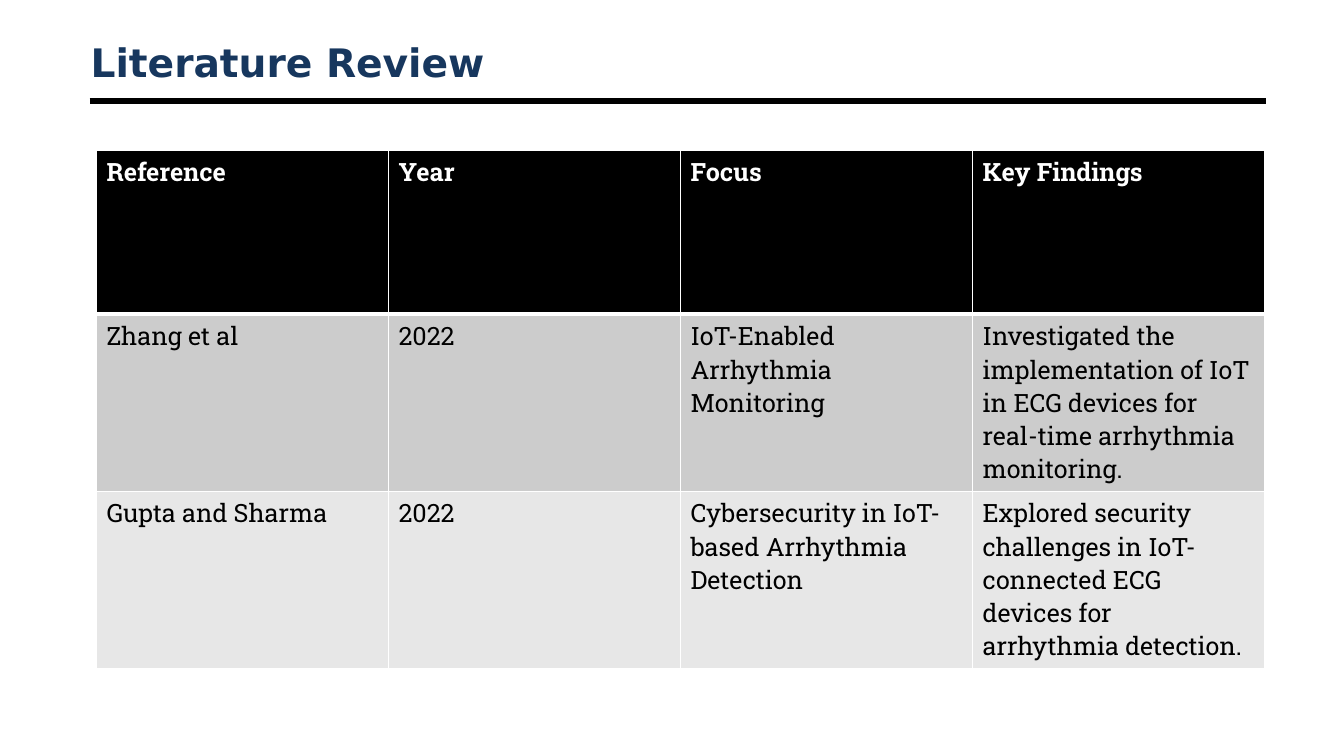
"""Build the Literature Review slide with its table of studies."""
from dataclasses import astuple, dataclass

from lxml import etree
from pptx import Presentation
from pptx import util as u
from pptx.dml.color import RGBColor
from pptx.enum import shapes, text
from pptx.oxml import ns

BODY_FONT = "Roboto Slab"
TITLE_FONT = "DejaVu Sans"
BLACK, WHITE, NAVY = "000000", "FFFFFF", "17375E"
ROW_FILLS = (BLACK, "CCCCCC", "E7E7E7")
COLUMN_WIDTH = u.Cm(7.36)
HEADER_HEIGHT, STUDY_HEIGHT = u.Cm(4.14), u.Cm(4.46)
THIN, THICK = u.Pt(1), u.Pt(3)


@dataclass(frozen=True)
class Study:
    reference: str
    year: str
    focus: str
    findings: str


ROWS = (
    Study("Reference", "Year", "Focus", "Key Findings"),
    Study("Zhang et al", "2022", "IoT-Enabled Arrhythmia Monitoring",
          "Investigated the implementation of IoT in ECG devices for "
          "real-time arrhythmia monitoring."),
    Study("Gupta and Sharma", "2022",
          "Cybersecurity in IoT-based Arrhythmia Detection",
          "Explored security challenges in IoT-connected ECG devices for "
          "arrhythmia detection."),
)


def rgb(value: str) -> RGBColor:
    """Turn a hex string into a colour."""
    return RGBColor.from_string(value)


def set_font(para, name: str, size: int, colour: str, bold: bool) -> None:
    """Format a whole paragraph."""
    font = para.font
    font.name, font.size, font.bold = name, u.Pt(size), bold
    font.color.rgb = rgb(colour)


def add_title(page, wording: str) -> None:
    """Fill and place the title placeholder."""
    title = page.shapes.title
    title.left, title.top = u.Cm(2.03), u.Cm(0.84)
    title.width, title.height = u.Cm(10.52), u.Cm(1.45)
    frame = title.text_frame
    frame.text = wording
    frame.word_wrap = False
    frame.auto_size = text.MSO_AUTO_SIZE.SHAPE_TO_FIT_TEXT
    frame.vertical_anchor = text.MSO_ANCHOR.TOP
    para = frame.paragraphs[0]
    para.alignment = text.PP_ALIGN.LEFT
    set_font(para, TITLE_FONT, 28, NAVY, True)


def add_rule(page) -> None:
    """Draw the heavy line below the title."""
    rule = page.shapes.add_connector(
        shapes.MSO_CONNECTOR.STRAIGHT,
        u.Cm(2.26), u.Cm(2.54), u.Cm(31.9), u.Cm(2.54))
    rule.line.color.rgb = rgb(BLACK)
    rule.line.width = u.Pt(4.5)
    etree.SubElement(rule._element.spPr, ns.qn("a:effectLst"))


def add_borders(cell, top: int, bottom: int) -> None:
    """Give a cell white borders."""
    properties = cell._tc.get_or_add_tcPr()
    widths = {"lnL": THIN, "lnR": THIN, "lnT": top, "lnB": bottom}
    for side, width in widths.items():
        line = etree.SubElement(properties, ns.qn(f"a:{side}"), w=str(width))
        fill = etree.SubElement(line, ns.qn("a:solidFill"))
        etree.SubElement(fill, ns.qn("a:srgbClr"), val=WHITE)


def add_studies(page) -> None:
    """Draw the table, one row per study below the header."""
    columns = len(astuple(ROWS[0]))
    heights = [HEADER_HEIGHT] + [STUDY_HEIGHT] * (len(ROWS) - 1)
    table = page.shapes.add_table(
        len(ROWS), columns, u.Cm(2.43), u.Cm(3.78),
        COLUMN_WIDTH * columns, sum(heights)).table
    for column in table.columns:
        column.width = COLUMN_WIDTH
    for index, (study, fill) in enumerate(zip(ROWS, ROW_FILLS)):
        header = index == 0
        table.rows[index].height = heights[index]
        for cell, wording in zip(table.rows[index].cells, astuple(study)):
            add_borders(cell, THICK if index == 1 else THIN,
                        THICK if header else THIN)
            cell.fill.solid()
            cell.fill.fore_color.rgb = rgb(fill)
            cell.text = wording
            set_font(cell.text_frame.paragraphs[0], BODY_FONT, 18,
                     WHITE if header else BLACK, header)


def main() -> None:
    """Build and save the deck."""
    deck = Presentation()
    deck.slide_width, deck.slide_height = u.Cm(33.87), u.Cm(19.05)
    page = deck.slides.add_slide(deck.slide_layouts.get_by_name("Title Only"))
    add_rule(page)
    add_studies(page)
    add_title(page, "Literature Review")
    deck.save("out.pptx")


main()
